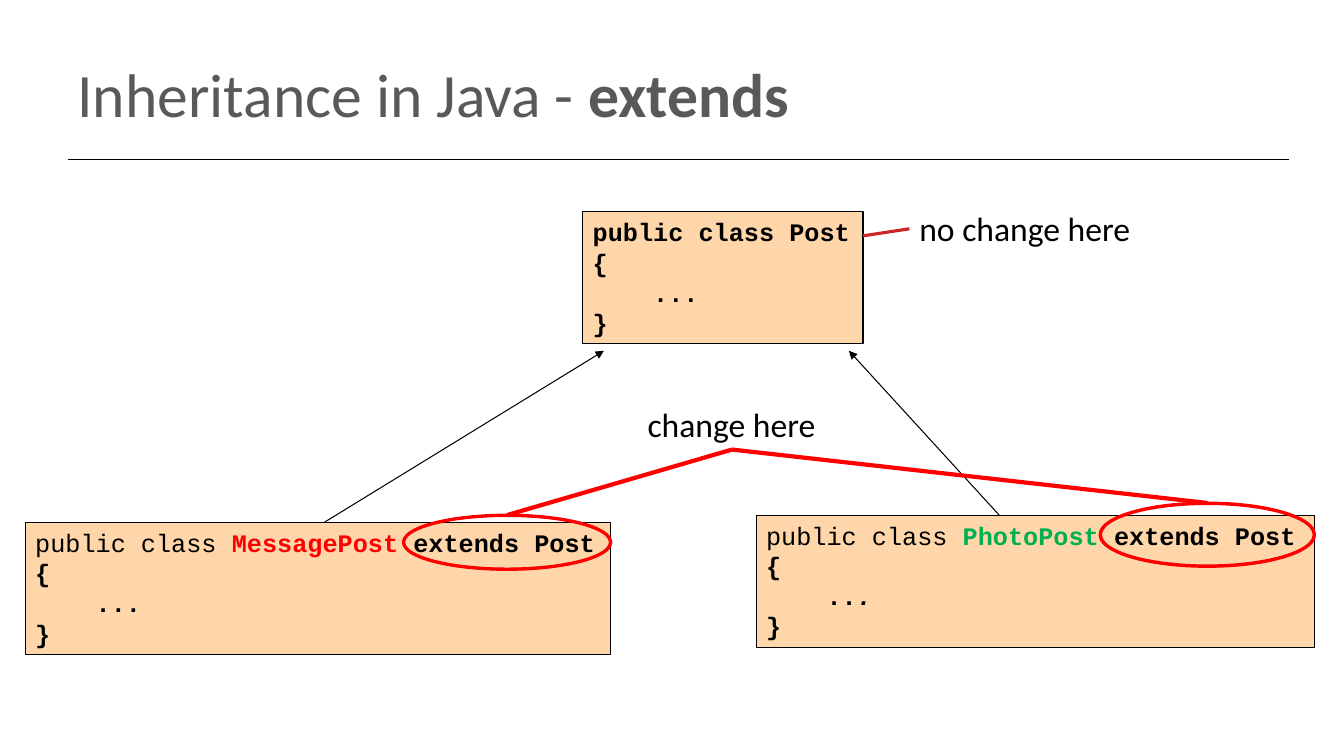
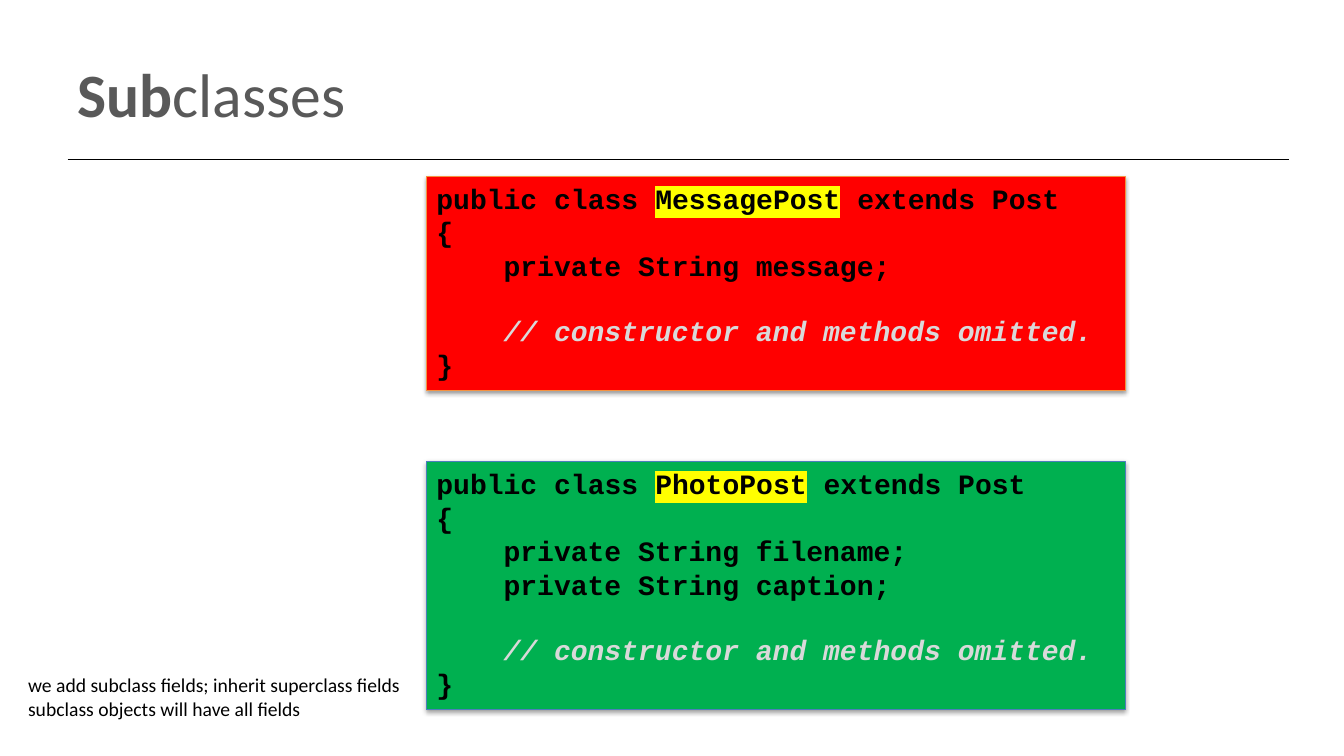
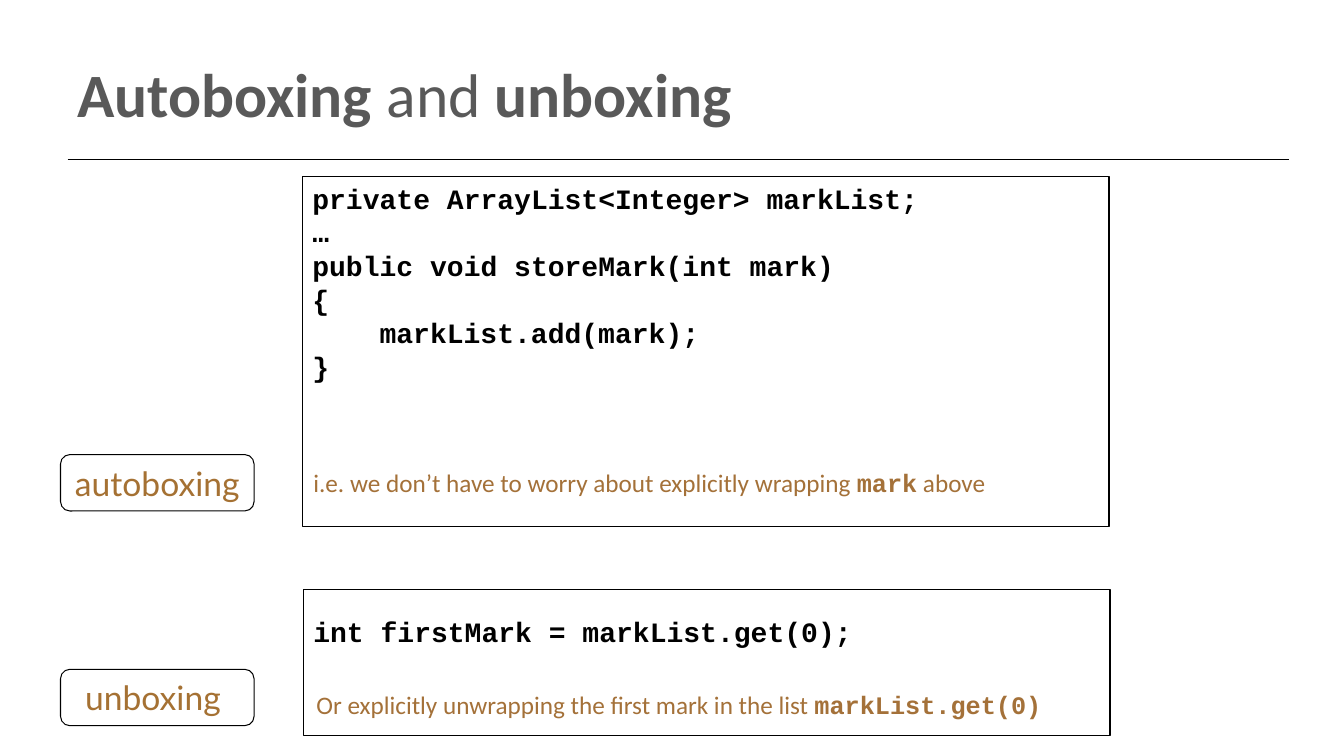
from dataclasses import dataclass

from lxml.etree import SubElement
from pptx import Presentation
from pptx.dml.color import RGBColor
from pptx.enum.shapes import MSO_CONNECTOR as Connector, MSO_SHAPE as Shape
from pptx.enum.text import MSO_ANCHOR as Anchor, PP_ALIGN as Align
from pptx.oxml import parse_xml
from pptx.oxml.ns import nsdecls, qn
from pptx.util import Inches, Pt


@dataclass(frozen=True)
class Theme:
    # Fonts
    body_font: str = "Calibri"
    code_font: str = "Courier New"
    label_font: str = "Lato"
    # Colours
    black: str = "000000"
    title_grey: str = "595959"
    peach: str = "FED6AA"
    red: str = "FF0000"
    dark_red: str = "CD2626"
    green: str = "00B050"
    yellow: str = "FFFF00"
    comment_grey: str = "D9D9D9"
    orange_edge: str = "F69240"
    blue_edge: str = "4B7EBC"
    label_brown: str = "A57133"
    note_brown: str = "A47139"
    # Type sizes
    title_size: int = 44
    callout_size: int = 24
    code_size: int = 20
    small_size: int = 18
    remark_size: int = 14


THEME = Theme()
COURIER_ADVANCE = 0.6   # character width in ems
COURIER_LEADING = 1.13  # line height in ems


@dataclass
class Line:
    """One paragraph; its spans are plain strings or (text, format) pairs."""
    spans: tuple
    indent: int = 0         # in code characters
    after_gap: bool = False  # leaves one line free above


def line(*spans, **layout):
    return Line(spans, **layout)


def color(value):
    return RGBColor.from_string(value)


def format_span(span, size, font, ink, bold=False, italic=False, highlight=None):
    span.font.size = Pt(size)
    span.font.name = font
    span.font.bold = bold
    span.font.italic = italic
    span.font.color.rgb = color(ink)
    if highlight:
        mark = parse_xml(f'<a:highlight {nsdecls("a")}>'
                         f'<a:srgbClr val="{highlight}"/></a:highlight>')
        span.font.fill  # the highlight follows the fill in the run properties
        span.font._element.find(qn("a:solidFill")).addnext(mark)


def write_text(box, lines, align=Align.LEFT, anchor=Anchor.TOP, top=0.05, **style):
    frame = box.text_frame
    frame.word_wrap = True
    frame.vertical_anchor = anchor
    frame.margin_top = Inches(top)
    for number, item in enumerate(lines):
        para = frame.add_paragraph() if number else frame.paragraphs[0]
        para.alignment = align
        if item.indent:
            width = Pt(item.indent * COURIER_ADVANCE * style["size"])
            properties = para._p.get_or_add_pPr()
            properties.set("marL", str(width))
            properties.set("indent", "0")
        if item.after_gap:
            para.space_before = Pt(COURIER_LEADING * style["size"])
        for part in item.spans:
            text, changes = (part, {}) if isinstance(part, str) else part
            span = para.add_run()
            span.text = text
            format_span(span, **{**style, **changes})


class SlideBuilder:
    def __init__(self, deck, theme):
        self.deck, self.theme, self.page = deck, theme, None

    def new_page(self, *title_spans):
        self.page = self.deck.slides.add_slide(self.deck.slide_layouts[6])
        self.connect((0.67, 1.58), (12.78, 1.58), weight=1)
        self.text(0.67, 0.3, 12, 1.25, [line(*title_spans)], anchor=Anchor.MIDDLE,
                  size=self.theme.title_size, ink=self.theme.title_grey)

    def text(self, left, top, width, height, lines, **style):
        box = self.page.shapes.add_textbox(*map(Inches, (left, top, width, height)))
        write_text(box, lines, **{"font": self.theme.body_font,
                                  "ink": self.theme.black, **style})

    def shape(self, kind, left, top, width, height, fill=None, edge=None,
              weight=0.75, shadow=False):
        box = self.page.shapes.add_shape(kind, *map(Inches, (left, top, width, height)))
        box.shadow.inherit = False
        if fill:
            box.fill.solid()
            box.fill.fore_color.rgb = color(fill)
        else:
            box.fill.background()
        box.line.color.rgb = color(edge or self.theme.black)
        box.line.width = Pt(weight)
        if shadow:
            box._element.spPr.find(qn("a:effectLst")).append(parse_xml(
                f'<a:outerShdw {nsdecls("a")} blurRad="{Pt(3.1)}" dist="{Pt(1.6)}" '
                f'dir="5400000" rotWithShape="0"><a:srgbClr val="{self.theme.black}">'
                '<a:alpha val="38000"/></a:srgbClr></a:outerShdw>'))
        return box

    def code(self, left, top, width, height, lines, size=None, bold=True,
             inset=0.05, **look):
        box = self.shape(Shape.RECTANGLE, left, top, width, height, **look)
        write_text(box, lines, top=inset, size=size or self.theme.code_size,
                   font=self.theme.code_font, ink=self.theme.black, bold=bold)

    def ring(self, left, top, width, height):
        red = self.theme.red
        ring = self.shape(Shape.DONUT, left, top, width, height,
                          fill=red, edge=red, weight=2)
        ring.adjustments[0] = 0.01

    def label(self, left, top, text):
        box = self.shape(Shape.ROUNDED_RECTANGLE, left, top, 1.92, 0.56)
        write_text(box, [line(text)], align=Align.CENTER, anchor=Anchor.MIDDLE,
                   size=self.theme.callout_size, font=self.theme.label_font,
                   ink=self.theme.label_brown)

    def connect(self, start, end, ink=None, weight=0.75, arrow=False):
        link = self.page.shapes.add_connector(
            Connector.STRAIGHT, *map(Inches, (*start, *end)))
        link.line.color.rgb = color(ink or self.theme.black)
        link.line.width = Pt(weight)
        if arrow:
            SubElement(link.line._get_or_add_ln(), qn("a:tailEnd"), type="triangle")
        SubElement(link._element.spPr, qn("a:effectLst"))


def class_lines(header, *body):
    return [line(*header), line("{"), *body, line("}")]


def inheritance_page(builder):
    theme = builder.theme
    strong = {"bold": True}
    builder.new_page("Inheritance in Java - ", ("extends", strong))

    # Superclass and subclasses
    classes = [
        ((5.78, 2.1, 2.78), [("public class Post", strong)], [("...", strong)]),
        ((0.25, 5.18, 5.81),
         ["public class ", ("MessagePost ", {"bold": True, "ink": theme.red}),
          ("extends Post", strong)], [("...", strong)]),
        ((7.5, 5.11, 5.54),
         ["public class ", ("PhotoPost ", {"bold": True, "ink": theme.green}),
          ("extends Post", strong)],
         [("..", strong), (".", {"bold": True, "italic": True})]),
    ]
    for place, header, dots in classes:
        lines = [line(*header), line(("{", strong)), line(*dots, indent=4),
                 line(("}", strong))]
        builder.code(*place, 1.31, lines, size=theme.small_size, bold=False,
                     fill=theme.peach)

    # Inheritance arrows
    builder.connect((3.22, 5.18), (5.99, 3.48), arrow=True)
    builder.connect((9.91, 5.11), (8.42, 3.48), arrow=True)

    # Callouts
    builder.text(9.02, 2.01, 2.56, 0.5, [line("no change here")],
                 size=theme.callout_size)
    builder.text(6.18, 3.96, 2.15, 0.5, [line("change here")],
                 size=theme.callout_size, align=Align.CENTER)
    builder.connect((9.02, 2.27), (8.56, 2.34), ink=theme.dark_red, weight=2.25)
    for left, top, width, height in [(10.91, 4.99, 2.13, 0.63), (4, 5.11, 2.06, 0.54)]:
        builder.ring(left, top, width, height)
        builder.connect((7.26, 4.46), (left + width / 2, top),
                        ink=theme.red, weight=3)


def subclasses_page(builder):
    theme = builder.theme
    builder.new_page(("Sub", {"bold": True}), "classes")

    # Subclass definitions
    subclasses = [
        ("MessagePost", ["message"], 1.75, 2.12, theme.red, theme.orange_edge),
        ("PhotoPost", ["filename", "caption"], 4.58, 2.46, theme.green, theme.blue_edge),
    ]
    omitted = line(("// constructor and methods omitted.",
                    {"ink": theme.comment_grey, "italic": True}),
                   indent=4, after_gap=True)
    for name, fields, top, height, fill, edge in subclasses:
        header = ["public class ", (name, {"highlight": theme.yellow}), " extends Post"]
        body = [line(f"private String {field};", indent=4) for field in fields]
        builder.code(4.23, top, 6.93, height, class_lines(header, *body, omitted),
                     fill=fill, edge=edge, shadow=True)

    # Remark
    builder.text(0.18, 6.63, 4.05, 0.57,
                 [line("we add subclass fields; inherit superclass fields"),
                  line("subclass objects will have all fields")],
                 size=theme.remark_size)


def boxing_page(builder):
    theme = builder.theme
    strong = {"bold": True}
    builder.new_page(("Autoboxing", strong), " and ", ("unboxing", strong))

    # Code samples
    builder.code(3, 1.75, 8, 3.47, [
        line("private ArrayList<Integer> markList;"),
        line("…"),
        *class_lines(["public void storeMark(int mark)"],
                     line("markList.add(mark);", indent=4)),
    ])
    builder.code(3.01, 5.85, 8, 1.45, [line("int firstMark = markList.get(0);")],
                 inset=0.25)

    # Labels
    builder.label(0.6, 4.51, "autoboxing")
    builder.label(0.6, 6.64, "unboxing ")

    # Notes
    inline_code = {"font": theme.code_font, "bold": True}
    note = {"size": theme.small_size, "ink": theme.note_brown}
    builder.text(3.04, 6.79, 7.6, 0.4, [
        line("Or explicitly unwrapping the first mark in the list ",
             ("markList.get(0)", inline_code))], **note)
    builder.text(3.01, 4.59, 7, 0.4, [
        line("i.e. we don’t have to worry about explicitly wrapping ",
             ("mark", inline_code), " above")], **note)


def main():
    deck = Presentation()
    deck.slide_width, deck.slide_height = Inches(13.33), Inches(7.5)
    builder = SlideBuilder(deck, THEME)
    for build in (inheritance_page, subclasses_page, boxing_page):
        build(builder)
    deck.save("out.pptx")


if __name__ == "__main__":
    main()
